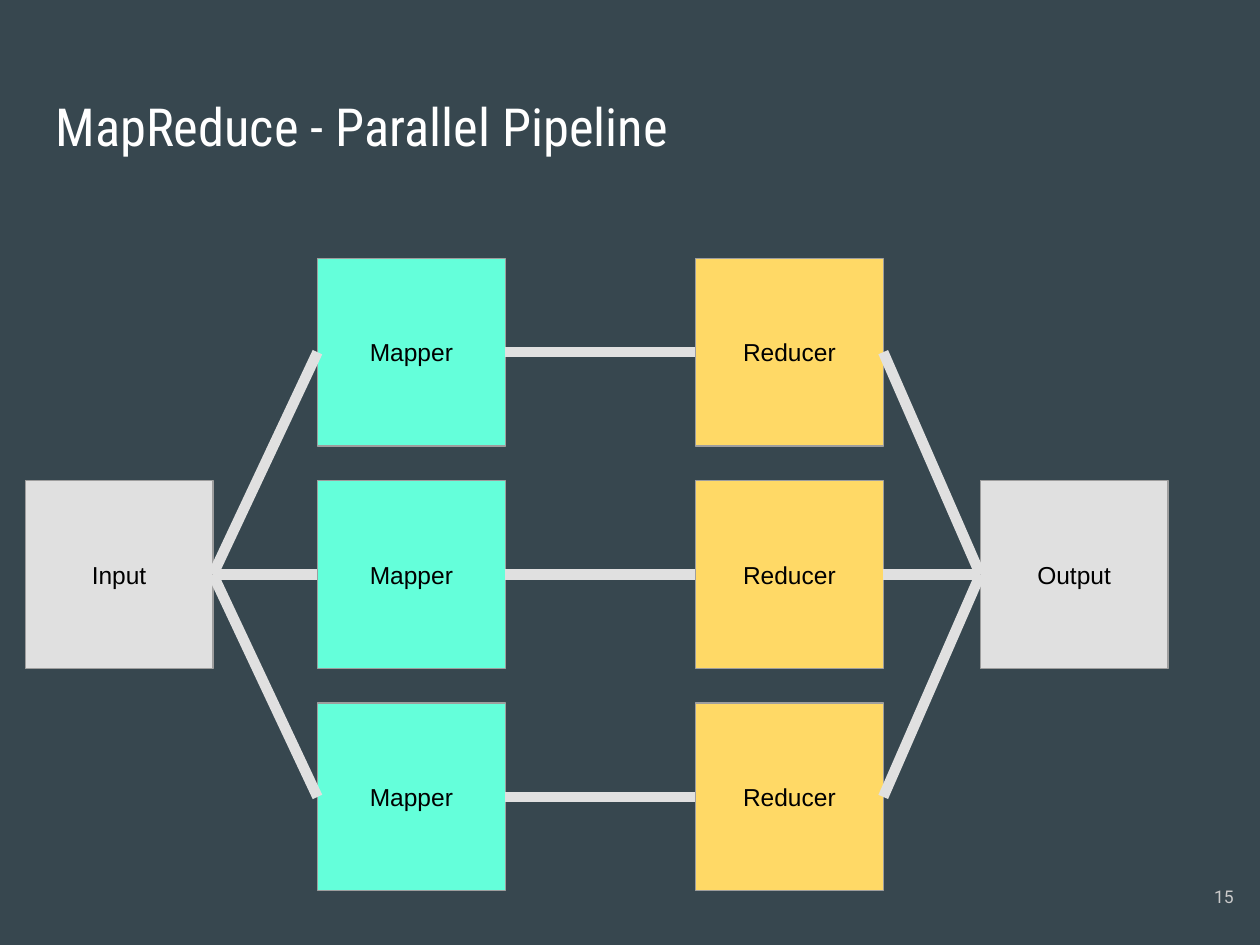
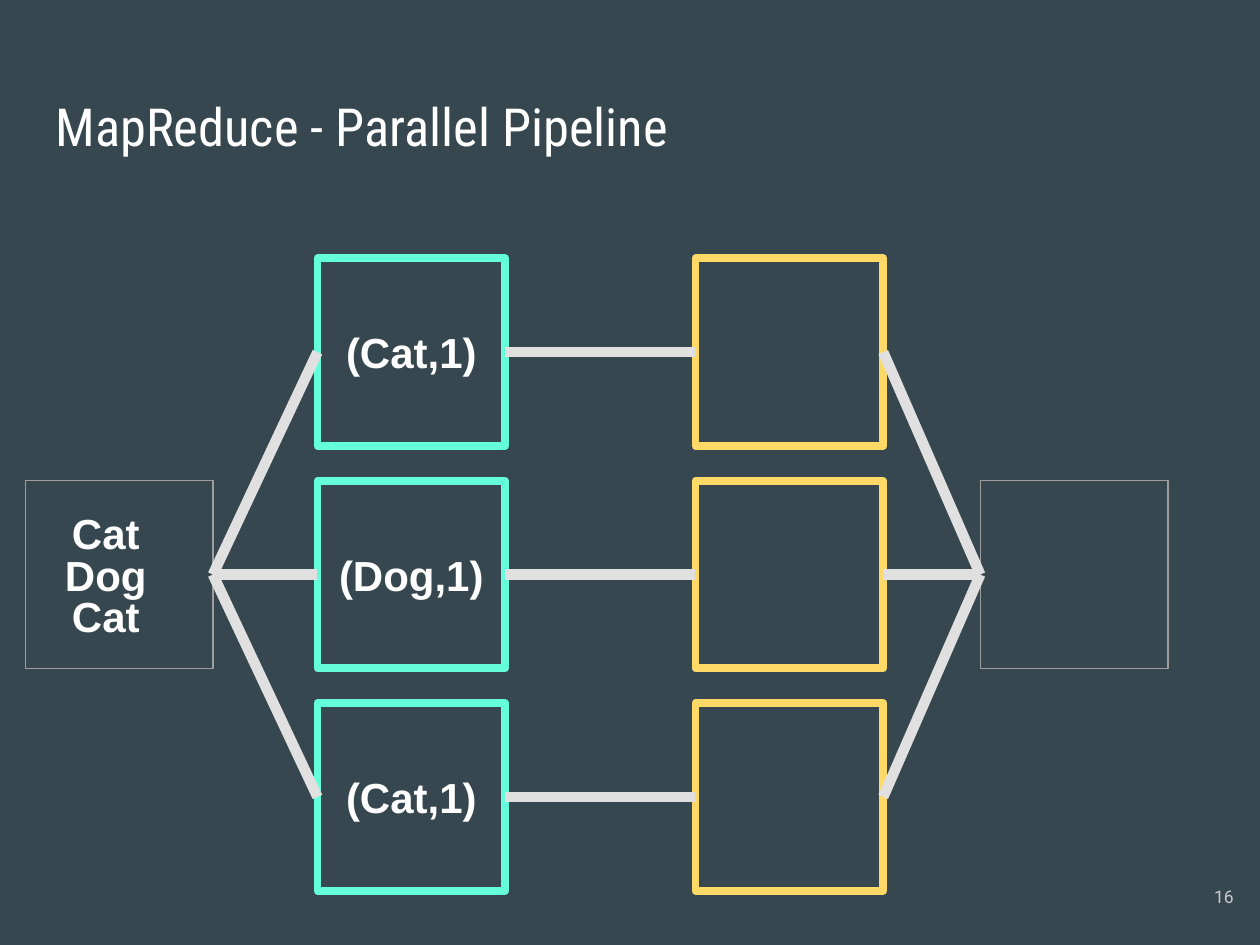
from collections import namedtuple
from itertools import accumulate

from lxml.etree import SubElement
from pptx import Presentation
from pptx.dml.color import RGBColor
from pptx.enum.shapes import MSO_CONNECTOR, MSO_SHAPE
from pptx.enum.text import MSO_ANCHOR, PP_ALIGN
from pptx.oxml.ns import qn
from pptx.util import Inches, Pt

Box = namedtuple("Box", "left top width height")
Stage = namedtuple("Stage", "label count color")

SLIDE = Box(0, 0, 10, 7.5)
TITLE = Box(0.34, 0.65, 9.32, 0.83)
PAGE_NUMBER = Box(9.29, 6.83, 0.6, 0.57)
PIPELINE = Box(0.2, 2.05, 9.07, 5.02)
NODE = 1.49
STAGE_GAPS = (0.83, 1.51, 0.77)
ROWS = 3
INSET = 0.1

BACKGROUND, WHITE, BLACK = "37474F", "FFFFFF", "000000"
GREY, BORDER, PAGE_GREY = "E0E0E0", "9E9E9E", "CACACA"
MINT, YELLOW = "64FFDA", "FFD966"

STAGES = (
    Stage("Input", 1, GREY),
    Stage("Mapper", ROWS, MINT),
    Stage("Reducer", ROWS, YELLOW),
    Stage("Output", 1, GREY),
)


def rgb(color):
    return RGBColor.from_string(color)


def inches(box):
    return [Inches(length) for length in box]


def write(frame, text, size, color, font="Arial", align=PP_ALIGN.CENTER,
          anchor=MSO_ANCHOR.MIDDLE, bold=False, wrap=True):
    frame.word_wrap = wrap
    frame.vertical_anchor = anchor
    frame.margin_left = frame.margin_right = Inches(INSET)
    frame.margin_top = frame.margin_bottom = Inches(INSET)
    paragraph = frame.paragraphs[0]
    paragraph.alignment = align
    run = paragraph.add_run()
    run.text = text
    run.font.name, run.font.size, run.font.bold = font, Pt(size), bold
    run.font.color.rgb = rgb(color)


def add_frame(deck, title, number):
    slide = deck.slides.add_slide(deck.slide_layouts[5])
    heading = slide.shapes.title
    heading.left, heading.top, heading.width, heading.height = inches(TITLE)
    write(heading.text_frame, title, 30, WHITE, "Roboto Condensed",
          PP_ALIGN.LEFT, MSO_ANCHOR.TOP)
    page = slide.shapes.add_textbox(*inches(PAGE_NUMBER))
    write(page.text_frame, str(number), 10, PAGE_GREY, "Roboto", PP_ALIGN.RIGHT)
    return slide


def add_node(slide, box, stage, filled):
    node = slide.shapes.add_shape(MSO_SHAPE.RECTANGLE, *inches(box))
    node.shadow.inherit = False
    thick = not filled and stage.count > 1
    node.line.color.rgb = rgb(stage.color if thick else BORDER)
    node.line.width = Pt(4.5 if thick else 0.75)
    if filled:
        node.fill.solid()
        node.fill.fore_color.rgb = rgb(stage.color)
        write(node.text_frame, stage.label, 14, BLACK)
    else:
        node.fill.background()
    return node


def add_link(slide, source, target):
    link = slide.shapes.add_connector(MSO_CONNECTOR.STRAIGHT, 0, 0, 0, 0)
    link.begin_connect(source, 3)
    link.end_connect(target, 1)
    link.line.color.rgb = rgb(GREY)
    link.line.width = Pt(6)
    SubElement(link.element.spPr, qn("a:effectLst"))


def add_pipeline(slide, area, filled):
    pitch = (area.height - NODE) / (ROWS - 1)
    lefts = accumulate((NODE + gap for gap in STAGE_GAPS), initial=area.left)
    columns = []
    for stage, left in zip(STAGES, lefts):
        first_row = (ROWS - stage.count) // 2
        columns.append([
            add_node(slide, Box(left, area.top + row * pitch, NODE, NODE), stage, filled)
            for row in range(first_row, first_row + stage.count)
        ])
    for sources, targets in zip(columns, columns[1:]):
        lanes = max(len(sources), len(targets))
        for lane in range(lanes):
            add_link(slide, sources[lane % len(sources)], targets[lane % len(targets)])


def add_words(slide, words, center, middle, pitch, width):
    height = 0.5
    for row, word in enumerate(words):
        top = middle + (row - (len(words) - 1) / 2) * pitch - height / 2
        label = slide.shapes.add_textbox(*inches(Box(center - width / 2, top, width, height)))
        write(label.text_frame, word, 24, WHITE, bold=True, wrap=False)


def add_word_count(slide, area):
    middle = area.top + area.height / 2
    mapper_center = area.left + NODE + STAGE_GAPS[0] + NODE / 2
    add_words(slide, ("Cat", "Dog", "Cat"), area.left + 0.64, middle, 0.33, 0.86)
    add_words(slide, ("(Cat,1)", "(Dog,1)", "(Cat,1)"), mapper_center, middle,
              (area.height - NODE) / (ROWS - 1), 1.36)


def main():
    deck = Presentation()
    deck.slide_width, deck.slide_height = Inches(SLIDE.width), Inches(SLIDE.height)
    backdrop = deck.slide_master.background.fill
    backdrop.solid()
    backdrop.fore_color.rgb = rgb(BACKGROUND)

    title = "MapReduce - Parallel Pipeline"
    overview = add_frame(deck, title, 15)
    add_pipeline(overview, PIPELINE, filled=True)
    mapping = add_frame(deck, title, 16)
    add_pipeline(mapping, PIPELINE, filled=False)
    add_word_count(mapping, PIPELINE)
    deck.save("out.pptx")


if __name__ == "__main__":
    main()
